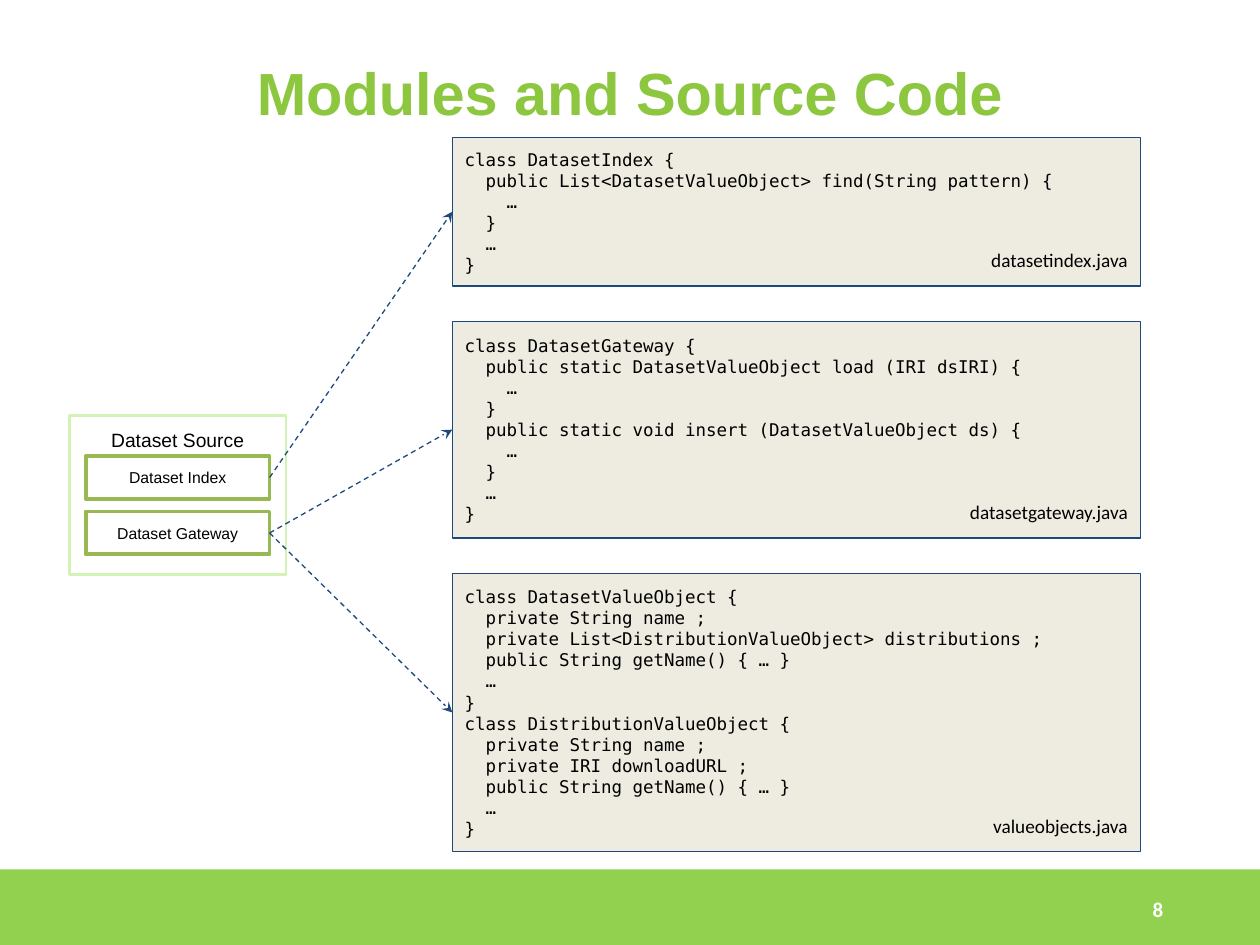
from lxml import etree
from pptx import Presentation
from pptx.dml.color import RGBColor
from pptx.enum.dml import MSO_LINE
from pptx.enum.shapes import MSO_CONNECTOR, MSO_SHAPE
from pptx.enum.text import MSO_ANCHOR, PP_ALIGN
from pptx.oxml.ns import qn
from pptx.util import Pt

PX = 9144  # 100 px to the inch
RECT, PROCESS = MSO_SHAPE.RECTANGLE, MSO_SHAPE.FLOWCHART_PROCESS
LEFT, CENTER, RIGHT = PP_ALIGN.LEFT, PP_ALIGN.CENTER, PP_ALIGN.RIGHT
TOP, MIDDLE = MSO_ANCHOR.TOP, MSO_ANCHOR.MIDDLE
LEFT_SITE, RIGHT_SITE = 1, 3
NAVY = "1F497D"


def add_box(bounds, text="", size=10, font="Arial", color="000000", bold=False,
            align=CENTER, anchor=MIDDLE, inset=10, kind=None, fill=None, line=None):
    """Add a preset shape, or a text box when kind is None; line is (color, points)."""
    place = [v * PX for v in bounds]
    if kind is None:
        box = slide.shapes.add_textbox(*place)
    else:
        box = slide.shapes.add_shape(kind, *place)
        box.shadow.inherit = False
        if fill:
            box.fill.solid()
            box.fill.fore_color.rgb = RGBColor.from_string(fill)
        else:
            box.fill.background()
        if line:
            box.line.color.rgb = RGBColor.from_string(line[0])
            box.line.width = Pt(line[1])
        else:
            box.line.fill.background()
    frame = box.text_frame
    frame.word_wrap = True
    frame.vertical_anchor = anchor
    frame.margin_left = frame.margin_right = 10 * PX
    frame.margin_top = frame.margin_bottom = inset * PX
    frame.text = text
    for paragraph in frame.paragraphs:
        paragraph.alignment = align
        paragraph.font.size = Pt(size)
        paragraph.font.name = font
        paragraph.font.bold = bold
        paragraph.font.color.rgb = RGBColor.from_string(color)
    return box


def add_arrow(source, target):
    arrow = slide.shapes.add_connector(MSO_CONNECTOR.STRAIGHT, 0, 0, 0, 0)
    arrow.begin_connect(source, RIGHT_SITE)
    arrow.end_connect(target, LEFT_SITE)
    arrow.line.color.rgb = RGBColor.from_string(NAVY)
    arrow.line.width = Pt(0.75)
    arrow.line.dash_style = MSO_LINE.DASH
    etree.SubElement(arrow.line._get_or_add_ln(), qn("a:tailEnd"), type="stealth")
    etree.SubElement(arrow._element.spPr, qn("a:effectLst"))


prs = Presentation()
prs.slide_width, prs.slide_height = 1000 * PX, 750 * PX
slide = prs.slides.add_slide(prs.slide_layouts[6])

# Footer, title and page number
add_box((0, 690, 1000, 63), kind=RECT, fill="92D050")
add_box((50, 30, 900, 85), "Modules and Source Code", 34, color="8DC63F", bold=True, inset=5)
add_box((905, 690, 83, 63), "8", 12, "Calibri", "FFFFFF", True, LEFT, inset=5)

# Module and its parts
add_box((55, 330, 172, 126), "Dataset Source", 11, anchor=TOP, kind=RECT, line=("D3F2B6", 1.5))
index, gateway = [
    add_box((68, 362 + 44 * row, 146, 34), part, 9, kind=RECT, line=("97B853", 2.25))
    for row, part in enumerate(["Dataset Index", "Dataset Gateway"])
]

# Source files: part, top, height, file name, code
source_files = [
    (index, 109, 118, "datasetindex.java", """\
class DatasetIndex {
  public List<DatasetValueObject> find(String pattern) {
    …
  }
  …
}"""),
    (gateway, 255, 172, "datasetgateway.java", """\
class DatasetGateway {
  public static DatasetValueObject load (IRI dsIRI) {
    …
  }
  public static void insert (DatasetValueObject ds) {
    …
  }
  …
}"""),
    (gateway, 455, 221, "valueobjects.java", """\
class DatasetValueObject {
  private String name ;
  private List<DistributionValueObject> distributions ;
  public String getName() { … }
  …
}
class DistributionValueObject {
  private String name ;
  private IRI downloadURL ;
  public String getName() { … }
  …
}"""),
]
for part, top, height, file_name, code in source_files:
    listing = add_box((359, top, 546, height), code, font="DejaVu Sans Mono", align=LEFT,
                      kind=PROCESS, fill="EEECE1", line=(NAVY, 0.75))
    add_arrow(part, listing)
    add_box((662, top + height - 42, 243, 42), file_name, 11, "Calibri", align=RIGHT)

prs.save("out.pptx")
